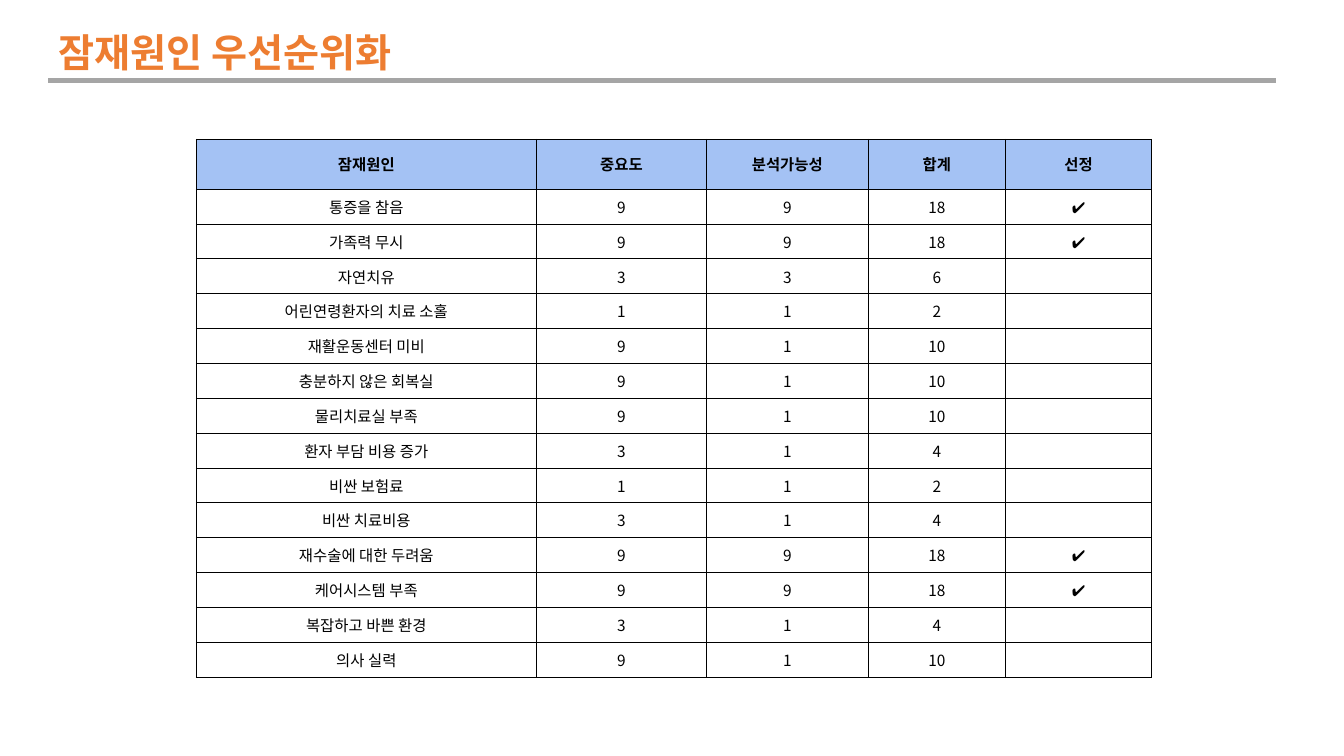
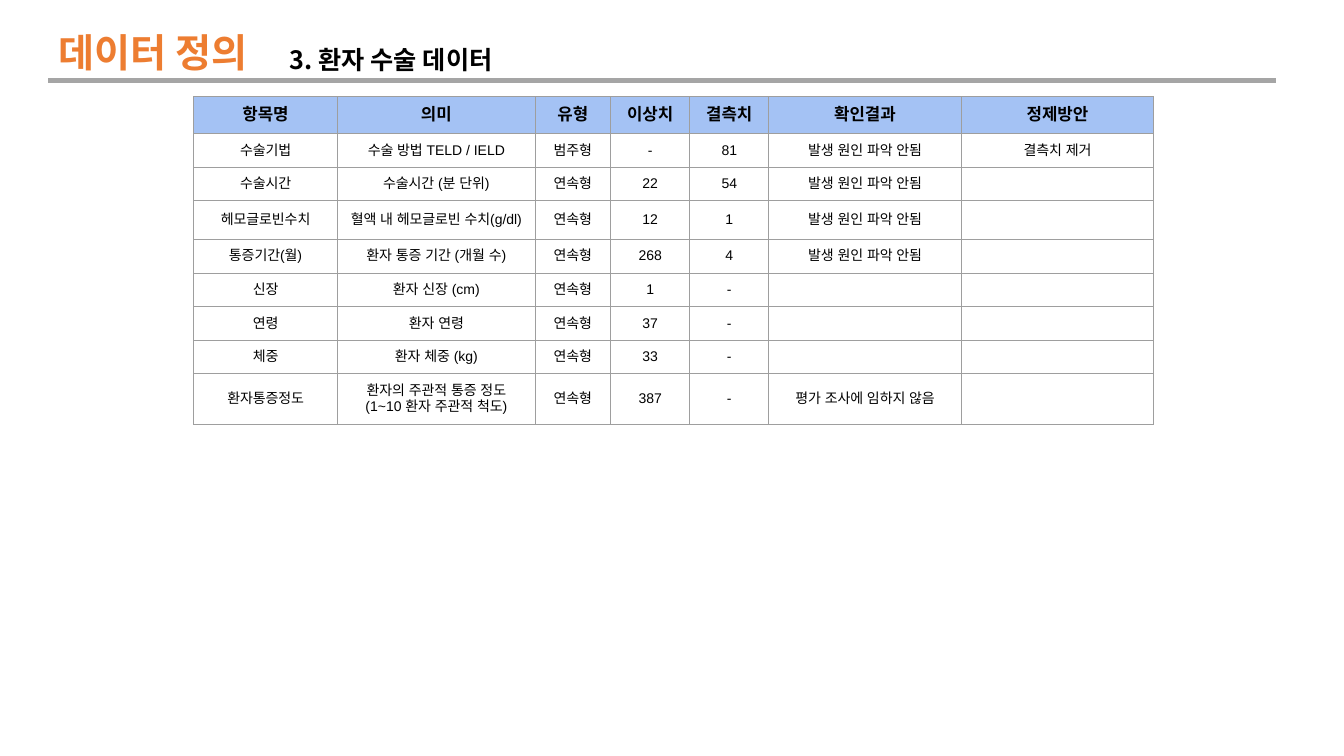
from lxml import etree
from pptx import Presentation
from pptx.dml.color import RGBColor
from pptx.enum.shapes import MSO_CONNECTOR
from pptx.enum.text import MSO_ANCHOR, MSO_AUTO_SIZE, PP_ALIGN
from pptx.oxml.ns import qn
from pptx.util import Pt

LEFT, CENTER = PP_ALIGN.LEFT, PP_ALIGN.CENTER
MIDDLE = MSO_ANCHOR.MIDDLE
NO_FIT = MSO_AUTO_SIZE.NONE
STRAIGHT = MSO_CONNECTOR.STRAIGHT
TITLE_ONLY = 5

ORANGE, GRAY, BLUE, BLACK, TABLE_GRAY = "ED7D31", "A5A5A5", "A4C2F4", "000000", "9E9E9E"
KOREAN, LATIN = "Noto Sans CJK KR", "Arial"
RULE_LEFT, RULE_RIGHT, RULE_TOP = 34.5, 911.5, 57.5

CAUSE_HEADER = ("잠재원인", "중요도", "분석가능성", "합계", "선정")
CAUSES = [
    ("통증을 참음", 9, 9),
    ("가족력 무시", 9, 9),
    ("자연치유", 3, 3),
    ("어린연령환자의 치료 소홀", 1, 1),
    ("재활운동센터 미비", 9, 1),
    ("충분하지 않은 회복실", 9, 1),
    ("물리치료실 부족", 9, 1),
    ("환자 부담 비용 증가", 3, 1),
    ("비싼 보험료", 1, 1),
    ("비싼 치료비용", 3, 1),
    ("재수술에 대한 두려움", 9, 9),
    ("케어시스템 부족", 9, 9),
    ("복잡하고 바쁜 환경", 3, 1),
    ("의사 실력", 9, 1),
]
SELECTED_TOTAL = 18

UNKNOWN = "발생 원인 파악 안됨"
FIELDS = [
    ("항목명", "의미", "유형", "이상치", "결측치", "확인결과", "정제방안"),
    ("수술기법", "수술 방법 TELD / IELD", "범주형", "-", "81", UNKNOWN, "결측치 제거"),
    ("수술시간", "수술시간 (분 단위)", "연속형", "22", "54", UNKNOWN, ""),
    ("헤모글로빈수치", "혈액 내 헤모글로빈 수치(g/dl)", "연속형", "12", "1", UNKNOWN, ""),
    ("통증기간(월)", "환자 통증 기간 (개월 수)", "연속형", "268", "4", UNKNOWN, ""),
    ("신장", "환자 신장 (cm)", "연속형", "1", "-", "", ""),
    ("연령", "환자 연령", "연속형", "37", "-", "", ""),
    ("체중", "환자 체중 (kg)", "연속형", "33", "-", "", ""),
    ("환자통증정도", "환자의 주관적 통증 정도\n(1~10 환자 주관적 척도)", "연속형",
     "387", "-", "평가 조사에 임하지 않음", ""),
]


def rgb(value):
    return RGBColor.from_string(value)


def add_text(p, text, size, font, color=BLACK, bold=False, align=LEFT):
    p.alignment = align
    if not text:
        # The end mark sets the line height of an empty cell
        etree.SubElement(p._p, qn("a:endParaRPr"), sz=str(size * 100))
        return
    r = p.add_run()
    r.text = text
    r.font.size, r.font.name, r.font.bold = Pt(size), font, bold
    r.font.color.rgb = rgb(color)
    etree.SubElement(r._r.get_or_add_rPr(), qn("a:ea"), typeface=font)


def fill_heading(sp, box, text, size, color):
    sp.left, sp.top, sp.width, sp.height = map(Pt, box)
    tf = sp.text_frame
    tf.word_wrap, tf.auto_size, tf.vertical_anchor = False, NO_FIT, MIDDLE
    add_text(tf.paragraphs[0], text, size, KOREAN, color, bold=True)


def add_titled_slide(prs, title, width):
    """Add a slide with the orange title above the gray rule."""
    s = prs.slides.add_slide(prs.slide_layouts[TITLE_ONLY])
    fill_heading(s.shapes.title, (RULE_LEFT, 16.5, width, 41), title, 28, ORANGE)
    rule = s.shapes.add_connector(STRAIGHT, Pt(RULE_LEFT), Pt(RULE_TOP), Pt(RULE_RIGHT), Pt(RULE_TOP))
    rule.line.color.rgb, rule.line.width = rgb(GRAY), Pt(3)
    etree.SubElement(rule._element.spPr, qn("a:effectLst"))
    return s


def set_borders(cell, color):
    tcPr = cell._tc.get_or_add_tcPr()
    for index, side in enumerate(("lnL", "lnR", "lnT", "lnB")):
        ln = etree.Element(qn(f"a:{side}"), w=str(Pt(0.6)))
        fill = etree.SubElement(ln, qn("a:solidFill"))
        etree.SubElement(fill, qn("a:srgbClr"), val=color)
        tcPr.insert(index, ln)


def add_grid(s, left, top, widths, heights, rows, font, sizes, border):
    """Add a centred table; sizes holds the header and body text sizes."""
    frame = s.shapes.add_table(len(rows), len(widths), Pt(left), Pt(top),
                               Pt(sum(widths)), Pt(sum(heights)))
    table = frame.table
    table.first_row = table.horz_banding = False
    for column, width in zip(table.columns, widths):
        column.width = Pt(width)
    for i, (row, height, texts) in enumerate(zip(table.rows, heights, rows)):
        row.height = Pt(height)
        header = i == 0
        for cell, text in zip(row.cells, texts):
            cell.vertical_anchor = MIDDLE
            cell.margin_left = cell.margin_right = Pt(6)
            cell.margin_top = cell.margin_bottom = Pt(3)
            if header:
                cell.fill.solid()
                cell.fill.fore_color.rgb = rgb(BLUE)
            else:
                cell.fill.background()
            set_borders(cell, border)
            tf = cell.text_frame
            for n, line in enumerate(text.split("\n")):
                p = tf.add_paragraph() if n else tf.paragraphs[0]
                add_text(p, line, sizes[0 if header else 1], font, bold=header, align=CENTER)


def build_priority_slide(prs):
    s = add_titled_slide(prs, "잠재원인 우선순위화", 278.5)
    rows = [CAUSE_HEADER]
    for cause, importance, feasibility in CAUSES:
        total = importance + feasibility
        mark = "✔" if total == SELECTED_TOTAL else ""
        rows.append((cause, str(importance), str(feasibility), str(total), mark))
    heights = [35.7] + [24.9] * len(CAUSES)
    add_grid(s, 140.2, 99.4, (243, 121.5, 115.5, 98, 104.5), heights, rows,
             KOREAN, (11, 11), BLACK)


def build_definition_slide(prs):
    s = add_titled_slide(prs, "데이터 정의", 165.5)
    subtitle = s.shapes.add_textbox(0, 0, 0, 0)
    fill_heading(subtitle, (200, 28, 176.5, 29), "3. 환자 수술 데이터", 18, BLACK)
    heights = [26.5, 24, 24, 27.5, 24, 24, 24, 24, 36]
    add_grid(s, 138.2, 69, (103, 141, 54, 56.5, 56.5, 137.5, 137.5), heights, FIELDS,
             LATIN, (12, 10), TABLE_GRAY)


def main():
    prs = Presentation()
    prs.slide_width, prs.slide_height = Pt(960), Pt(540)
    build_priority_slide(prs)
    build_definition_slide(prs)
    prs.save("out.pptx")


if __name__ == "__main__":
    main()
